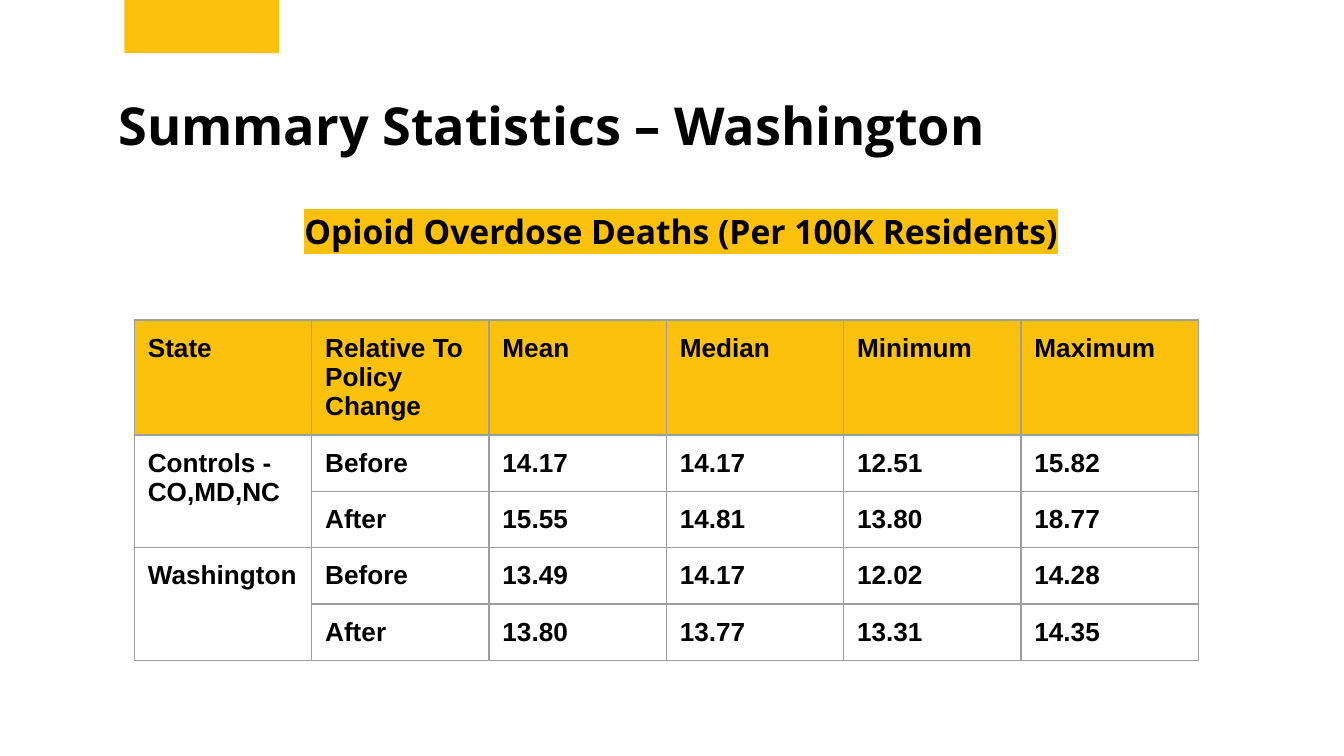
from dataclasses import dataclass
from itertools import product

from pptx import Presentation
from pptx.dml.color import RGBColor as RGB
from pptx.enum.shapes import MSO_SHAPE as SHAPE
from pptx.enum.text import MSO_ANCHOR as ANCHOR, MSO_AUTO_SIZE as AUTO, PP_ALIGN as ALIGN
from pptx.oxml import parse_xml
from pptx.oxml.ns import nsdecls, qn
from pptx.util import Pt


@dataclass(frozen=True)
class Theme:
    accent: str = "FCC10C"
    ink: str = "000000"
    rule: str = "9E9E9E"
    heading_font: str = "Open Sans"
    table_font: str = "Arial"
    title_size: float = 28
    subtitle_size: float = 18
    table_size: float = 14
    rule_width: float = 0.75
    inset: float = 7.2


T = Theme()
MARGINS = {f"margin_{side}": Pt(T.inset) for side in ("left", "top", "right", "bottom")}
FRAME = MARGINS | {"word_wrap": True, "auto_size": AUTO.NONE, "vertical_anchor": ANCHOR.TOP}
CELL = MARGINS | {"vertical_anchor": ANCHOR.TOP}

HEADER = ["State", "Relative To\nPolicy Change", "Mean", "Median", "Minimum", "Maximum"]
GROUPS = {
    "Controls -\nCO,MD,NC": {
        "Before": ["14.17", "14.17", "12.51", "15.82"],
        "After": ["15.55", "14.81", "13.80", "18.77"],
    },
    "Washington": {
        "Before": ["13.49", "14.17", "12.02", "14.28"],
        "After": ["13.80", "13.77", "13.31", "14.35"],
    },
}


def apply(obj, values):
    for name, value in values.items():
        setattr(obj, name, value)


def place(sp, box):
    apply(sp, dict(zip(("left", "top", "width", "height"), map(Pt, box))))


def write(tf, text, font, size, align=ALIGN.LEFT):
    tf.text = text
    for p in tf.paragraphs:
        p.alignment = align
        for r in p.runs:
            apply(r.font, {"name": font, "size": Pt(size), "bold": True})
            r.font.color.rgb = RGB.from_string(T.ink)


def add_tab(s, box):
    x, y, w, h = box
    sp = s.shapes.add_shape(SHAPE.RECTANGLE, 0, 0, 0, 0)
    place(sp, (x + (w - h) / 2, y + (h - w) / 2, h, w))
    sp.rotation = 90
    sp.shadow.inherit = False
    sp.fill.solid()
    sp.fill.fore_color.rgb = RGB.from_string(T.accent)
    sp.line.fill.background()


def add_title(s, box, text):
    sp = s.shapes.title
    place(sp, box)
    apply(sp.text_frame, FRAME)
    write(sp.text_frame, text, T.heading_font, T.title_size)


def add_subtitle(s, box, text):
    sp = s.shapes.add_textbox(*map(Pt, box))
    tf = sp.text_frame
    apply(tf, FRAME)
    write(tf, text, T.heading_font, T.subtitle_size, ALIGN.CENTER)
    fill = tf.paragraphs[0].runs[0].font._element.find(qn("a:solidFill"))
    fill.addnext(parse_xml(
        f'<a:highlight {nsdecls("a")}><a:srgbClr val="{T.accent}"/></a:highlight>'))


def add_borders(cell):
    tc_pr = cell._tc.get_or_add_tcPr()
    for side in "LRTB":
        tc_pr.append(parse_xml(
            f'<a:ln{side} {nsdecls("a")} w="{Pt(T.rule_width)}"><a:solidFill>'
            f'<a:srgbClr val="{T.rule}"/></a:solidFill></a:ln{side}>'))


def add_stats_table(s, box):
    rows = [HEADER]
    for state, periods in GROUPS.items():
        for i, (period, values) in enumerate(periods.items()):
            rows.append(["" if i else state, period, *values])
    tbl = s.shapes.add_table(len(rows), len(HEADER), *map(Pt, box)).table
    for i, j in product(range(len(rows)), range(len(HEADER))):
        cell = tbl.cell(i, j)
        apply(cell, CELL)
        add_borders(cell)
        if i:
            cell.fill.background()
        else:
            cell.fill.solid()
            cell.fill.fore_color.rgb = RGB.from_string(T.accent)
        write(cell.text_frame, rows[i][j], T.table_font, T.table_size)
    top = 1
    for periods in GROUPS.values():
        tbl.cell(top, 0).merge(tbl.cell(top + len(periods) - 1, 0))
        top += len(periods)


def main():
    prs = Presentation()
    apply(prs, {"slide_width": Pt(720), "slide_height": Pt(405)})
    s = prs.slides.add_slide(prs.slide_layouts[5])
    add_tab(s, (66.6, 0, 82.8, 28.4))
    add_title(s, (56.2, 42.5, 530.6, 69.8), "Summary Statistics – Washington")
    add_subtitle(s, (155.5, 105.8, 419, 31), "Opioid Overdose Deaths (Per 100K Residents)")
    add_stats_table(s, (72, 171.4, 570, 151))
    prs.save("out.pptx")


if __name__ == "__main__":
    main()
